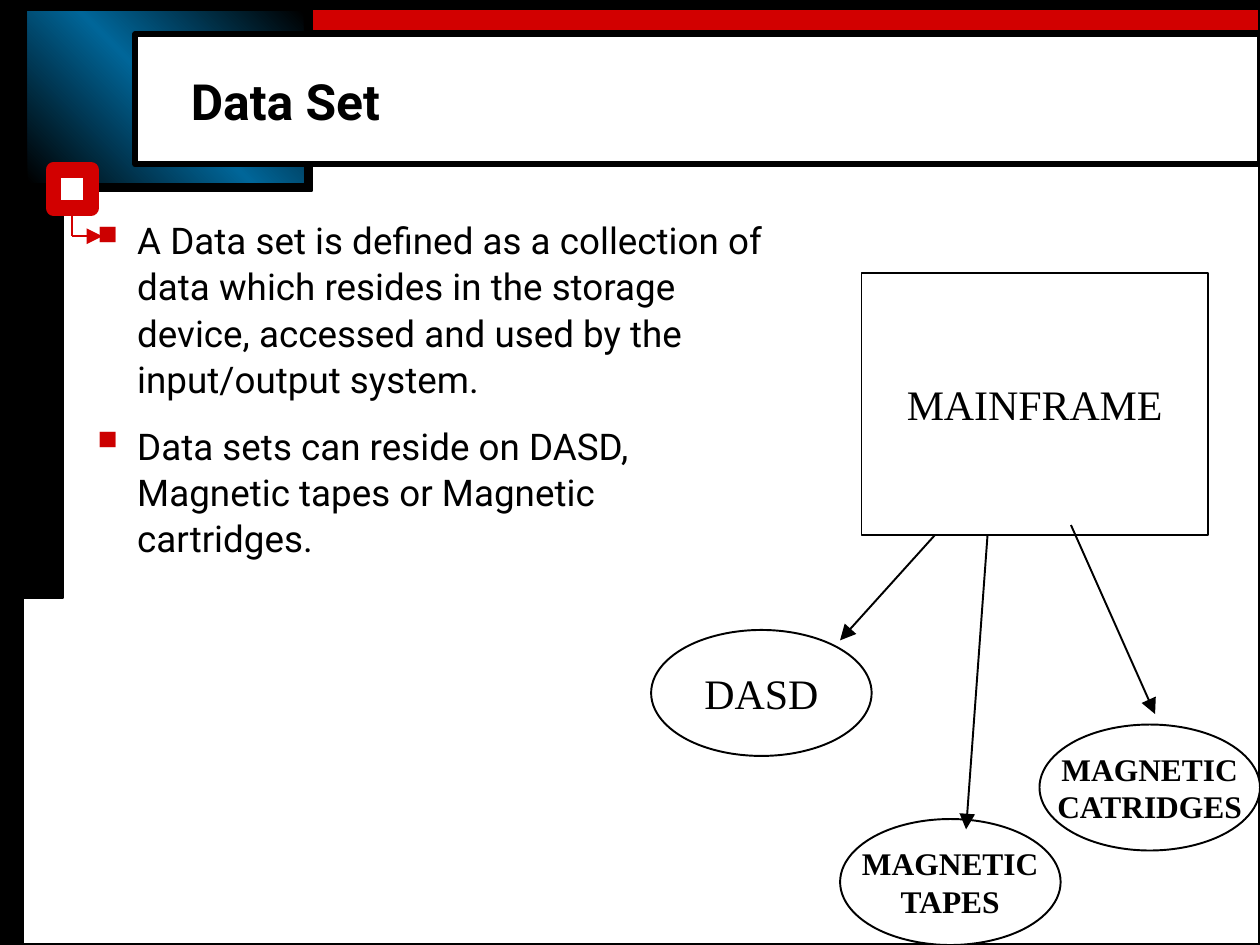
from lxml import etree
from pptx import Presentation
from pptx.dml.color import RGBColor
from pptx.enum.shapes import MSO_CONNECTOR, MSO_SHAPE
from pptx.enum.text import MSO_ANCHOR, PP_ALIGN
from pptx.oxml import parse_xml
from pptx.oxml.ns import nsdecls, qn
from pptx.util import Inches, Pt

RECTANGLE, OVAL = MSO_SHAPE.RECTANGLE, MSO_SHAPE.OVAL
STRAIGHT = MSO_CONNECTOR.STRAIGHT
MIDDLE, TOP = MSO_ANCHOR.MIDDLE, MSO_ANCHOR.TOP
LEFT, CENTER = PP_ALIGN.LEFT, PP_ALIGN.CENTER
COLORS = {"black": "000000", "white": "FFFFFF", "red": "D20000",
          "blue": "006699", "bullet": "CC0000"}

deck = Presentation()
deck.slide_width, deck.slide_height = Inches(6.67), Inches(5)
COLUMN, ROW = deck.slide_width / 40, deck.slide_height / 30
page = deck.slides.add_slide(deck.slide_layouts[5])


def cells(*values):
    """Turn alternating column and row counts into lengths."""
    return [round(value * (ROW if index % 2 else COLUMN))
            for index, value in enumerate(values)]


def write(box, lines, font="Roboto", size=14, bold=False, align=LEFT,
          anchor=TOP, side=0.01, wrap=True, spacing=1.0, bullet=None):
    """Fill a box with one paragraph per line of text."""
    frame = box.text_frame
    frame.word_wrap, frame.vertical_anchor = wrap, anchor
    frame.margin_left = frame.margin_right = Inches(side)
    frame.margin_top = frame.margin_bottom = Inches(0.03)
    for index, line in enumerate(lines):
        para = frame.add_paragraph() if index else frame.paragraphs[0]
        para.alignment, para.line_spacing = align, spacing
        if bullet:
            props = para._p.get_or_add_pPr()
            props.set("marL", str(Inches(0.25)))
            props.set("indent", str(-Inches(0.25)))
            for xml in (f'<a:buClr {nsdecls("a")}><a:srgbClr val="{COLORS["bullet"]}"/></a:buClr>',
                        f'<a:buSzPct {nsdecls("a")} val="130000"/>',
                        f'<a:buChar {nsdecls("a")} char="{bullet}"/>'):
                props.append(parse_xml(xml))
            para.space_before = Pt(5.2 if index else 0)
            para.space_after = Pt(2.6)
        span = para.add_run()
        span.text = line
        span.font.name, span.font.size, span.font.bold = font, Pt(size), bold
        span.font.color.rgb = RGBColor.from_string(COLORS["black"])


# Frame bars, title panel, marker, slide border, then the diagram nodes
mainframe = {"font": "Times New Roman", "size": 16, "align": CENTER,
             "anchor": MIDDLE, "side": 0.07, "wrap": False}
medium = {**mainframe, "size": 12, "bold": True}
shapes = [
    (RECTANGLE, (9.9, 0, 30.1, 1), "red", "black", 0.75, [], {}),
    (RECTANGLE, (0, 0, 40, 0.3), "black", "black", 0.75, [], {}),
    (RECTANGLE, (0, 0, 9.9, 6.06), "black", "black", 0.75, [], {}),
    (RECTANGLE, (0, 2.9, 2, 16.1), "black", "black", 0.75, [], {}),
    (RECTANGLE, (0, 13.9, 0.72, 16.1), "black", "black", 0.75, [], {}),
    (RECTANGLE, (0.88, 0.36, 8.76, 5.43), "gradient", None, 0, [], {}),
    (RECTANGLE, (4.3, 1.08, 35.7, 4.14), "white", "black", 2.25, [], {}),
    (RECTANGLE, (1.7, 5.4, 1.2, 1.2), "white", "red", 6, [], {}),
    (RECTANGLE, (0, 0, 40, 30), None, "black", 1.25, [], {}),
    (RECTANGLE, (27.35, 8.66, 11, 8.34), "white", "black", 0.75, ["MAINFRAME"], mainframe),
    (OVAL, (20.67, 20, 7, 4), "white", "black", 0.75, ["DASD"], mainframe),
    (OVAL, (26.67, 26, 7, 4), "white", "black", 0.75, ["MAGNETIC", "TAPES"], medium),
    (OVAL, (33, 23, 7, 4), "white", "black", 0.75, ["MAGNETIC", "CATRIDGES"], medium),
]
for kind, place, fill, line, width, lines, style in shapes:
    shape = page.shapes.add_shape(kind, *cells(*place))
    shape.shadow.inherit = False
    if fill in COLORS:
        shape.fill.solid()
        shape.fill.fore_color.rgb = RGBColor.from_string(COLORS[fill])
    else:
        shape.fill.background()
    if fill == "gradient":
        stops = "".join(
            f'<a:gs pos="{share * 1000}"><a:srgbClr val="{COLORS[name]}"/></a:gs>'
            for share, name in ((0, "black"), (50, "blue"), (100, "black")))
        props = shape._element.spPr
        props.replace(props.find(qn("a:noFill")), parse_xml(
            f'<a:gradFill {nsdecls("a")} rotWithShape="1"><a:gsLst>{stops}</a:gsLst>'
            '<a:lin ang="18900000" scaled="1"/></a:gradFill>'))
    if line:
        shape.line.color.rgb = RGBColor.from_string(COLORS[line])
        shape.line.width = Pt(width)
    else:
        shape.line.fill.background()
    if lines:
        write(shape, lines, **style)

# Marker elbow and the arrows from the mainframe to its storage media
for ends, color, has_head in [
    ((2.3, 6.67, 2.3, 7.5), "red", False),
    ((2.3, 7.5, 3.25, 7.5), "red", True),
    ((29.67, 17, 26.67, 20.33), "black", True),
    ((31.35, 17, 30.67, 26.33), "black", True),
    ((34, 16.67, 36.67, 22.67), "black", True),
]:
    arrow = page.shapes.add_connector(STRAIGHT, *cells(*ends))
    arrow.line.color.rgb = RGBColor.from_string(COLORS[color])
    arrow.line.width = Pt(0.75)
    if has_head:
        etree.SubElement(arrow.line._get_or_add_ln(), qn("a:tailEnd"), type="triangle")
    etree.SubElement(arrow._element.spPr, qn("a:effectLst"))

# Title, brought in front of its panel
title = page.shapes.title
title.left, title.top, title.width, title.height = cells(6, 1.74, 34, 3.12)
write(title, ["Data Set"], size=19, bold=True, anchor=MIDDLE, spacing=0.9)
page.shapes._spTree.append(title._element)

# Definition
body = page.shapes.add_textbox(*cells(2.8, 6.67, 22, 19.67))
write(body, [
    "A Data set is defined as a collection of data which resides in the storage "
    "device, accessed and used by the input/output system.",
    "Data sets can reside on DASD, Magnetic tapes or Magnetic cartridges.",
], spacing=1.05, bullet="▪")

deck.save("out.pptx")
